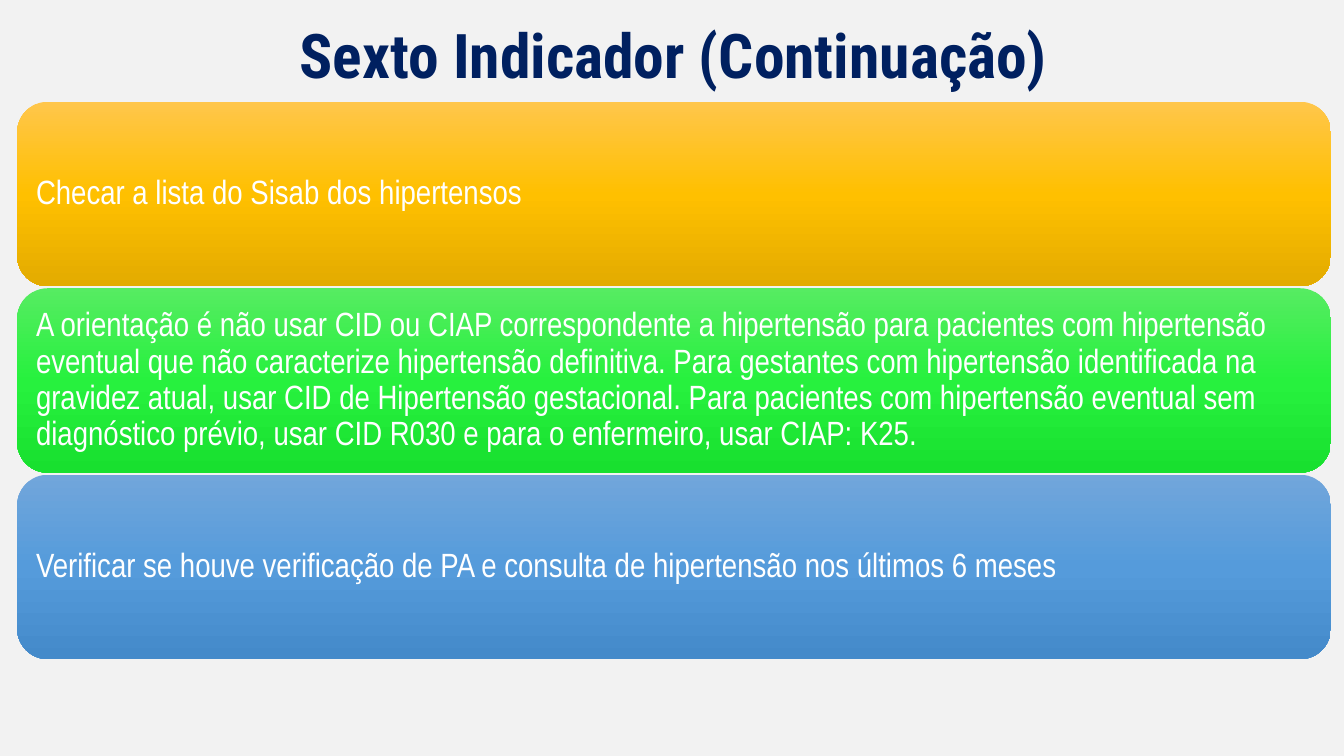
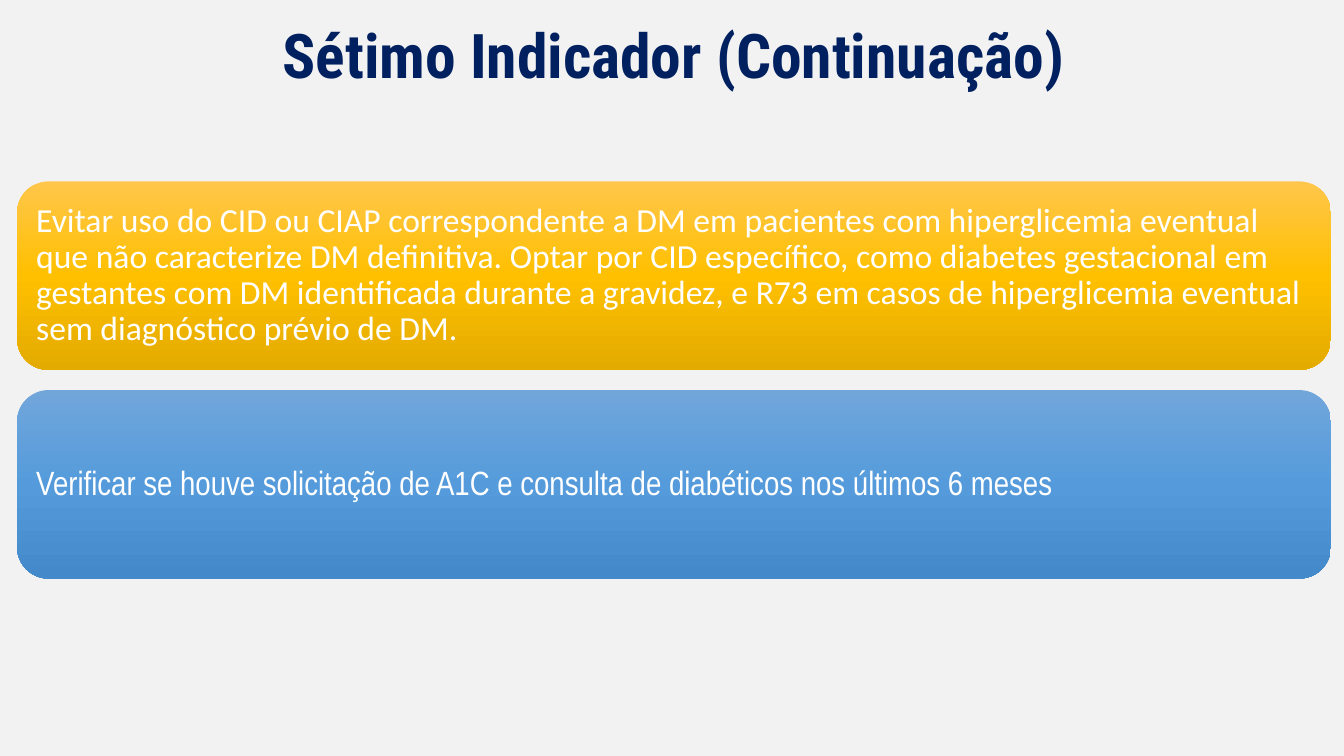
"""Builds two indicator slides with stacked gradient panels."""
from copy import deepcopy

from pptx import Presentation
from pptx.dml.color import RGBColor
from pptx.enum.shapes import MSO_SHAPE as SHAPE
from pptx.enum.text import MSO_ANCHOR as ANCHOR, MSO_AUTO_SIZE as AUTO, PP_ALIGN as ALIGN
from pptx.oxml.ns import qn
from pptx.util import Inches, Pt

BACKGROUND, NAVY, WHITE = "F2F2F2", "002060", "FFFFFF"
YELLOW = ("FFC64B", "FFC000", "E3AB00")
GREEN = ("56EC62", "27F13E", "18E02F")
BLUE = ("71A6DB", "559BDB", "448ACA")
TITLE_FONT, NARROW, WIDE = "Roboto Condensed", "Arial Narrow", "Calibri"
LEFT, WIDTH = 0.17, 13.03
TITLE_TOP, TITLE_HEIGHT = 0.15, 0.86

SLIDES = [
    {
        "title": "Sexto Indicador (Continuação)",
        "top": 1.01, "height": 1.83, "gap": 0.02,
        "panels": [
            (YELLOW, NARROW, "Checar a lista do Sisab dos hipertensos"),
            (GREEN, NARROW,
             "A orientação é não usar CID ou CIAP correspondente a hipertensão para "
             "pacientes com hipertensão eventual que não caracterize hipertensão "
             "definitiva. Para gestantes com hipertensão identificada na gravidez "
             "atual, usar CID de Hipertensão gestacional. Para pacientes com "
             "hipertensão eventual sem diagnóstico prévio, usar CID R030 e para o "
             "enfermeiro, usar CIAP: K25."),
            (BLUE, NARROW,
             "Verificar se houve verificação de PA e consulta de hipertensão nos "
             "últimos 6 meses"),
        ],
    },
    {
        "title": "Sétimo Indicador (Continuação)",
        "top": 1.8, "height": 1.87, "gap": 0.2,
        "panels": [
            (YELLOW, WIDE,
             "Evitar uso do CID ou CIAP correspondente a DM em pacientes com "
             "hiperglicemia eventual que não caracterize DM definitiva. Optar por CID "
             "específico, como diabetes gestacional em gestantes com DM identificada "
             "durante a gravidez, e R73 em casos de hiperglicemia eventual sem "
             "diagnóstico prévio de DM."),
            (BLUE, NARROW,
             "Verificar se houve solicitação de A1C e consulta de diabéticos nos "
             "últimos 6 meses"),
        ],
    },
]


def rgb(value):
    return RGBColor.from_string(value)


def write(sp, text, font, size, color, align, bold=False):
    tf = sp.text_frame
    tf.text = text
    tf.word_wrap = True
    tf.auto_size = AUTO.NONE
    tf.vertical_anchor = ANCHOR.MIDDLE
    p = tf.paragraphs[0]
    p.alignment = align
    p.line_spacing = 0.9
    p.font.name, p.font.size, p.font.bold = font, Pt(size), bold
    p.font.color.rgb = rgb(color)


def fill_gradient(sp, colors):
    sp.fill.gradient()
    sp.fill.gradient_angle = 270
    stop_list = sp._element.spPr.find(qn("a:gradFill")).find(qn("a:gsLst"))
    stop_list.insert(1, deepcopy(stop_list[0]))
    for i, (stop, color) in enumerate(zip(sp.fill.gradient_stops, colors)):
        stop.position = i / (len(colors) - 1)
        stop.color.rgb = rgb(color)


def add_title(s, text):
    sp = s.shapes.title
    sp.left, sp.top = Inches(LEFT), Inches(TITLE_TOP)
    sp.width, sp.height = Inches(WIDTH), Inches(TITLE_HEIGHT)
    write(sp, text, TITLE_FONT, 44, NAVY, ALIGN.CENTER, bold=True)


def add_panel(s, top, height, colors, font, text):
    sp = s.shapes.add_shape(SHAPE.ROUNDED_RECTANGLE, Inches(LEFT), Inches(top),
                            Inches(WIDTH), Inches(height))
    sp.shadow.inherit = False
    sp.line.fill.background()
    fill_gradient(sp, colors)
    tf = sp.text_frame
    tf.margin_left = tf.margin_right = tf.margin_top = tf.margin_bottom = Inches(0.1)
    write(sp, text, font, 24, WHITE, ALIGN.LEFT)


def main():
    prs = Presentation()
    prs.slide_width, prs.slide_height = Inches(13.33), Inches(7.5)
    background = prs.slide_master.background.fill
    background.solid()
    background.fore_color.rgb = rgb(BACKGROUND)
    for content in SLIDES:
        s = prs.slides.add_slide(prs.slide_layouts[5])
        add_title(s, content["title"])
        pitch = content["height"] + content["gap"]
        for i, panel in enumerate(content["panels"]):
            add_panel(s, content["top"] + i * pitch, content["height"], *panel)
    prs.save("out.pptx")


if __name__ == "__main__":
    main()
